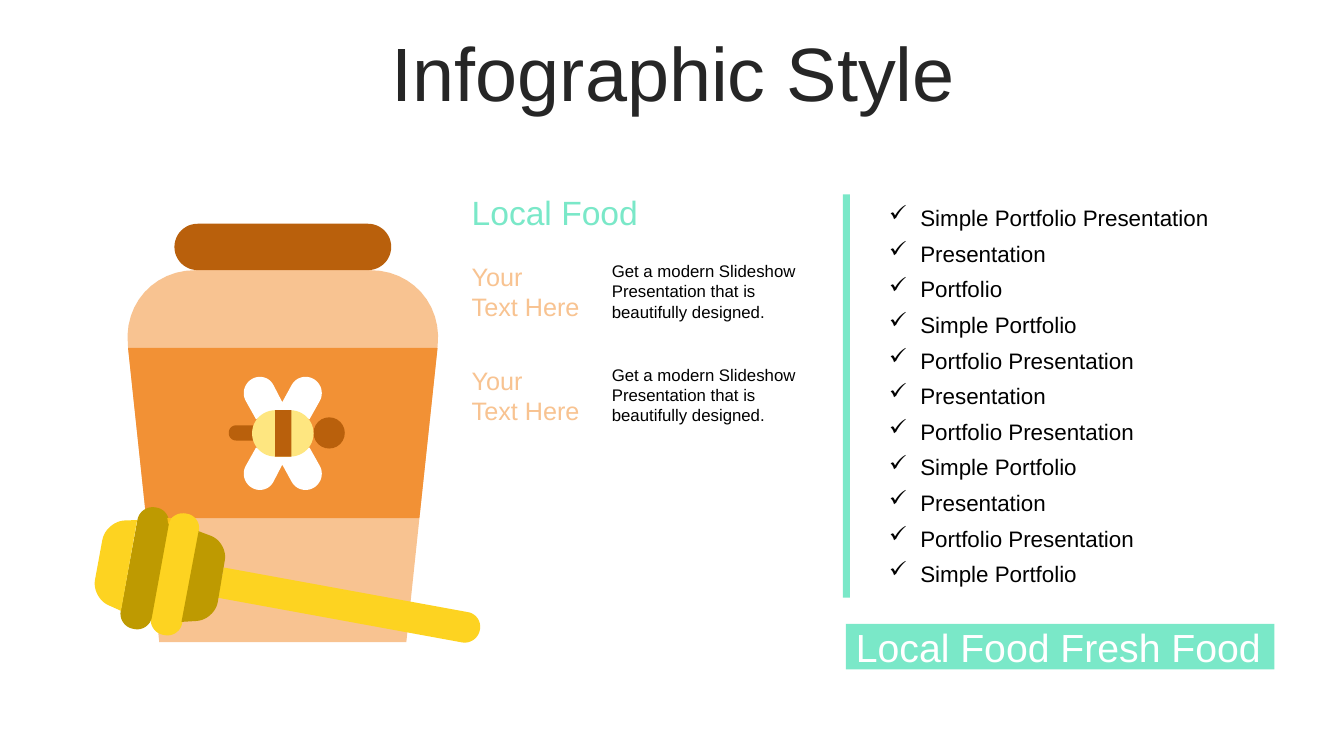
"""Build the honey jar infographic slide."""
import pptx
import pptx.dml.color
import pptx.enum.shapes
import pptx.enum.text
import pptx.oxml.ns
import pptx.util
from lxml import etree

RGBColor = pptx.dml.color.RGBColor
MINT = RGBColor(0x7A, 0xE8, 0xC8)
PEACH = RGBColor(0xF8, 0xC3, 0x91)
ORANGE = RGBColor(0xF2, 0x91, 0x35)
BROWN = RGBColor(0xB9, 0x60, 0x0C)
YELLOW = RGBColor(0xFD, 0xD3, 0x21)
AMBER = RGBColor(0xFE, 0xBF, 0x18)
OLIVE = RGBColor(0xBE, 0x9A, 0x01)
CREAM = RGBColor(0xFE, 0xE6, 0x80)
WHITE = RGBColor(0xFF, 0xFF, 0xFF)
BLACK = RGBColor(0x00, 0x00, 0x00)
CHARCOAL = RGBColor(0x26, 0x26, 0x26)

FONT = "Arial"
TITLE = "Infographic Style"
HEADING = "Local Food"
BANNER = "Local Food Fresh Food"
FEATURES = [
    (["Your", "Text Here"], "Get a modern Slideshow Presentation that is beautifully designed."),
    (["Your", "Text Here"], "Get a modern Slideshow Presentation that is beautifully designed."),
]
CHECKLIST = [
    "Simple Portfolio Presentation", "Presentation", "Portfolio", "Simple Portfolio",
    "Portfolio Presentation", "Presentation", "Portfolio Presentation", "Simple Portfolio",
    "Presentation", "Portfolio Presentation", "Simple Portfolio",
]

FEATURE_LEFT, DETAIL_LEFT = 4.58, 5.97
FEATURE_TOP, FEATURE_PITCH = 2.54, 1.03
CHECK_LEFT, CHECK_TOP, CHECK_BOTTOM = 8.72, 2.03, 5.56
CHECK_PITCH = (CHECK_BOTTOM - CHECK_TOP) / (len(CHECKLIST) - 1)
BEE_MIDDLE = 4.3
HANDLE_STEP = (0.3, 0.06)

# Corners are (x, y, rounding length) in inches.
JAR = [(1.19, 2.68, 0.75), (4.42, 2.68, 0.75), (4.03, 6.37, 0), (1.58, 6.37, 0)]
LABEL = [(1.27, 3.45, 0), (4.34, 3.45, 0), (4.16, 5.14, 0), (1.45, 5.14, 0)]
HANDLE = [(2.22, 5.63, 0), (4.79, 6.1, 0.15), (4.73, 6.4, 0.15), (2.16, 5.93, 0)]
RIDGE = [(1.39, 5.01, 0.15), (1.7, 5.06, 0.15), (1.48, 6.27, 0.15), (1.17, 6.21, 0.15)]
NEXT_RIDGE = [(x + HANDLE_STEP[0], y + HANDLE_STEP[1], r) for x, y, r in RIDGE]
GAP = [(1.67, 5.2, 0), (1.66, 5.14, 0), (1.7, 5.14, 0)]
DIPPER_TIP = [(1.36, 5.16, 0), (1.05, 5.17, 0.19), (0.91, 5.93, 0.18), (1.2, 6.06, 0)]
DIPPER_BASE = [(1.97, 5.27, 0), (2.26, 5.38, 0.18), (2.13, 6.15, 0.18), (1.8, 6.17, 0)]
UPPER_WINGS = [
    (2.54, 4.16, 0), (2.36, 3.84, 0.16), (2.64, 3.68, 0.16), (2.8, 3.99, 0),
    (2.97, 3.68, 0.16), (3.25, 3.84, 0.16), (3.07, 4.16, 0), (2.88, 4.07, 0), (2.73, 4.07, 0),
]
LOWER_WINGS = [(x, 2 * BEE_MIDDLE - y, r) for x, y, r in UPPER_WINGS]
TAIL = [(2.27, 4.22, 0.07), (2.51, 4.22, 0), (2.51, 4.37, 0), (2.27, 4.37, 0.07)]
OUTLINES = [
    (PEACH, JAR), (ORANGE, LABEL), (YELLOW, HANDLE), (YELLOW, NEXT_RIDGE), (OLIVE, RIDGE),
    (YELLOW, DIPPER_TIP), (OLIVE, DIPPER_BASE), (AMBER, GAP),
    (WHITE, UPPER_WINGS), (WHITE, LOWER_WINGS), (BROWN, TAIL),
]
SHAPE = pptx.enum.shapes.MSO_SHAPE
PRESETS = [
    (SHAPE.ROUNDED_RECTANGLE, BROWN, (1.73, 2.22, 2.15, 0.46)),
    (SHAPE.OVAL, BROWN, (3.11, 4.14, 0.31, 0.31)),
    (SHAPE.ROUNDED_RECTANGLE, CREAM, (2.5, 4.07, 0.61, 0.46)),
    (SHAPE.RECTANGLE, BROWN, (2.73, 4.07, 0.16, 0.46)),
]


def inches(values):
    return [pptx.util.Inches(value) for value in values]


def paint(shape, colour):
    shape.shadow.inherit = False
    shape.fill.solid()
    shape.fill.fore_color.rgb = colour
    shape.line.fill.background()


def toward(start, end, distance):
    length = ((end[0] - start[0]) ** 2 + (end[1] - start[1]) ** 2) ** 0.5
    return [start[axis] + (end[axis] - start[axis]) * distance / length for axis in (0, 1)]


def round_corners(corners, steps=12):
    points = []
    for index, corner in enumerate(corners):
        radius = corner[2]
        if not radius:
            points.append(corner[:2])
            continue
        before, after = corners[index - 1], corners[(index + 1) % len(corners)]
        a, b = toward(corner, before, radius), toward(corner, before, radius * 0.45)
        c, d = toward(corner, after, radius * 0.45), toward(corner, after, radius)
        for step in range(steps + 1):
            t = step / steps
            weights = ((1 - t) ** 3, 3 * t * (1 - t) ** 2, 3 * t * t * (1 - t), t ** 3)
            points.append([sum(w * p[axis] for w, p in zip(weights, (a, b, c, d))) for axis in (0, 1)])
    return [inches(point) for point in points]


def add_outline(shapes, colour, corners):
    points = round_corners(corners)
    builder = shapes.build_freeform(*points[0], scale=1.0)
    builder.add_line_segments(points[1:], close=True)
    paint(builder.convert_to_shape(), colour)


def add_preset(shapes, kind, colour, box):
    shape = shapes.add_shape(kind, *inches(box))
    if kind == SHAPE.ROUNDED_RECTANGLE:
        shape.adjustments[0] = 0.5
    paint(shape, colour)
    return shape


def write(shape, lines, size, colour, anchor=pptx.enum.text.MSO_ANCHOR.TOP):
    frame = shape.text_frame
    frame.word_wrap = True
    frame.vertical_anchor = anchor
    for index, line in enumerate(lines):
        paragraph = frame.add_paragraph() if index else frame.paragraphs[0]
        paragraph.alignment = pptx.enum.text.PP_ALIGN.LEFT
        run = paragraph.add_run()
        run.text = line
        run.font.name = FONT
        run.font.size = pptx.util.Pt(size)
        run.font.color.rgb = colour
    return frame.paragraphs[0]


def add_text(slide, box, *content):
    return write(slide.shapes.add_textbox(*inches(box)), *content)


def add_check(slide, row, label):
    box = (CHECK_LEFT, CHECK_TOP + row * CHECK_PITCH, 3.59, 0.32)
    paragraph = add_text(slide, box, [label], 16, BLACK)
    properties = paragraph._p.get_or_add_pPr()
    indent = pptx.util.Inches(0.31)
    properties.set("marL", str(indent))
    properties.set("indent", str(-indent))
    etree.SubElement(properties, pptx.oxml.ns.qn("a:buChar"), char="✓")
    paragraph.line_spacing = 0.8


def main():
    presentation = pptx.Presentation()
    presentation.slide_width, presentation.slide_height = inches((13.33, 7.5))
    slide = presentation.slides.add_slide(presentation.slide_layouts[5])
    middle = pptx.enum.text.MSO_ANCHOR.MIDDLE

    title = slide.shapes.title
    title.left, title.top, title.width, title.height = inches((0.35, 0.37, 12.66, 0.79))
    paragraph = write(title, [TITLE], 54, CHARCOAL, middle)
    paragraph.alignment = pptx.enum.text.PP_ALIGN.CENTER
    paragraph.line_spacing = 0.9
    title.text_frame.auto_size = pptx.enum.text.MSO_AUTO_SIZE.NONE

    honey = slide.shapes.add_group_shape().shapes
    for colour, corners in OUTLINES:
        add_outline(honey, colour, corners)
    for kind, colour, box in PRESETS:
        add_preset(honey, kind, colour, box)

    add_text(slide, (FEATURE_LEFT, 1.85, 3.66, 0.5), [HEADING], 24, MINT, middle)
    for row, (name, detail) in enumerate(FEATURES):
        top = FEATURE_TOP + row * FEATURE_PITCH
        add_text(slide, (FEATURE_LEFT, top, 1.49, 0.71), name, 18, PEACH)
        add_text(slide, (DETAIL_LEFT, top, 2.17, 0.71), [detail], 12, BLACK)

    add_preset(slide.shapes, SHAPE.RECTANGLE, MINT, (8.36, 1.93, 0.07, 4))
    for row, label in enumerate(CHECKLIST):
        add_check(slide, row, label)
    banner = add_preset(slide.shapes, SHAPE.RECTANGLE, MINT, (8.39, 6.19, 4.25, 0.45))
    write(banner, [BANNER], 28, WHITE, middle)

    presentation.save("out.pptx")


if __name__ == "__main__":
    main()
